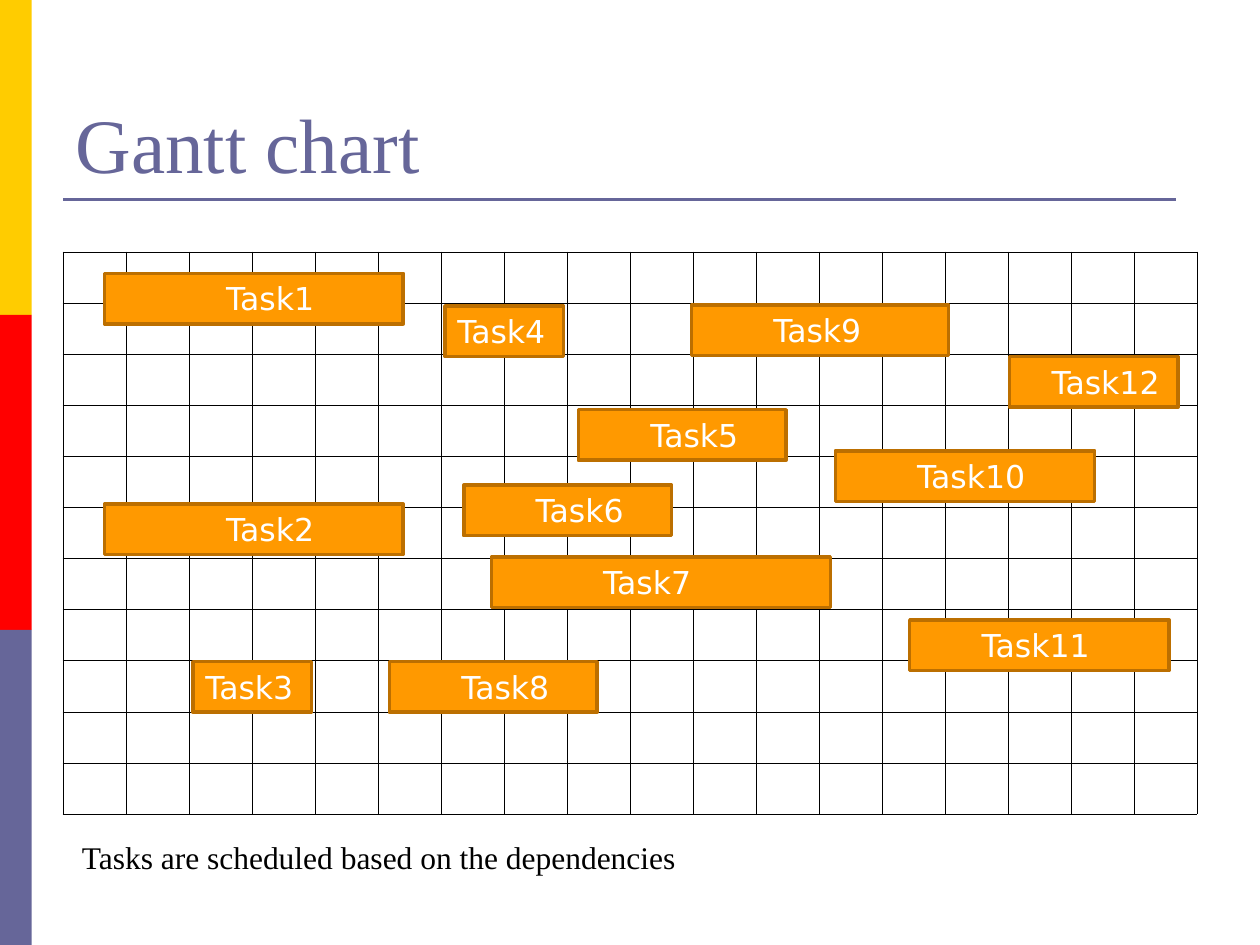
from dataclasses import dataclass

from lxml.etree import SubElement
from pptx import Presentation
from pptx.dml.color import RGBColor
from pptx.enum.shapes import MSO_CONNECTOR as Connector, MSO_SHAPE as Shape
from pptx.enum.text import MSO_ANCHOR as Anchor, PP_ALIGN as Align
from pptx.oxml.ns import qn
from pptx.util import Cm, Pt

COLOURS = {
    "yellow": "FFCC00",
    "red": "FF0000",
    "violet": "666699",
    "orange": "FF9900",
    "brown": "BC6F00",
    "white": "FFFFFF",
    "black": "000000",
}
SERIF = "Times New Roman"
SANS = "DejaVu Sans"
COLUMNS, ROWS = 18, 11
COLUMN_WIDTH, ROW_HEIGHT = 1.27, 1.03
BAND_WIDTH, BAND_HEIGHT = 0.64, 6.35
BAR_HEIGHT = 1.02
INSET, INDENT_STEP = 0.25, 0.2


@dataclass
class Task:
    name: str
    left: float
    top: float
    width: float
    indent: int = 0


TASKS = [
    Task("Task4", 8.97, 6.17, 2.39),
    Task("Task2", 2.11, 10.16, 6.02, 11),
    Task("Task1", 2.11, 5.51, 6.02, 11),
    Task("Task7", 9.91, 11.23, 6.83, 10),
    Task("Task3", 3.89, 13.34, 2.39),
    Task("Task5", 11.66, 8.26, 4.19, 6),
    Task("Task6", 9.35, 9.78, 4.19, 6),
    Task("Task8", 7.85, 13.34, 4.19, 6),
    Task("Task10", 16.84, 9.09, 5.23, 7),
    Task("Task9", 13.94, 6.15, 5.18, 7),
    Task("Task11", 18.34, 12.5, 5.23, 6),
    Task("Task12", 20.35, 7.19, 3.4, 3),
]


def colour(name: str) -> RGBColor:
    return RGBColor.from_string(COLOURS[name])


def write(frame, text: str, font: str, size: int, ink: str) -> None:
    frame.word_wrap = True
    paragraph = frame.paragraphs[0]
    paragraph.alignment = Align.LEFT
    run = paragraph.add_run()
    run.text = text
    run.font.name = font
    run.font.size = Pt(size)
    run.font.color.rgb = colour(ink)


def add_rectangle(slide, left: float, top: float, width: float, height: float, fill: str):
    shape = slide.shapes.add_shape(
        Shape.RECTANGLE, Cm(left), Cm(top), Cm(width), Cm(height)
    )
    shape.shadow.inherit = False
    shape.fill.solid()
    shape.fill.fore_color.rgb = colour(fill)
    shape.line.fill.background()
    return shape


def add_rule(slide) -> None:
    rule = slide.shapes.add_connector(
        Connector.STRAIGHT, Cm(1.27), Cm(4.02), Cm(23.7), Cm(4.02)
    )
    rule.line.color.rgb = colour("violet")
    rule.line.width = Pt(1.5)
    SubElement(rule._element.spPr, qn("a:effectLst"))


def add_borders(cell) -> None:
    properties = cell._tc.get_or_add_tcPr()
    for position, side in enumerate(("lnL", "lnR", "lnT", "lnB")):
        border = properties.makeelement(qn(f"a:{side}"), {"w": str(Pt(0.45))})
        properties.insert(position, border)
        fill = SubElement(border, qn("a:solidFill"))
        SubElement(fill, qn("a:srgbClr"), val=COLOURS["black"])


def add_grid(slide) -> None:
    table = slide.shapes.add_table(
        ROWS, COLUMNS, Cm(1.27), Cm(5.08),
        Cm(COLUMNS * COLUMN_WIDTH), Cm(ROWS * ROW_HEIGHT),
    ).table
    table.first_row = False
    table.horz_banding = False
    for column in table.columns:
        column.width = Cm(COLUMN_WIDTH)
    for row in table.rows:
        row.height = Cm(ROW_HEIGHT)
    for cell in table.iter_cells():
        cell.margin_top = cell.margin_bottom = 0
        cell.fill.background()
        add_borders(cell)


def add_task(slide, task: Task) -> None:
    bar = add_rectangle(slide, task.left, task.top, task.width, BAR_HEIGHT, "orange")
    bar.line.color.rgb = colour("brown")
    bar.line.width = Pt(2)
    frame = bar.text_frame
    frame.margin_left = Cm(INSET + task.indent * INDENT_STEP)
    frame.margin_right = 0
    frame.vertical_anchor = Anchor.TOP
    write(frame, task.name, SANS, 18, "white")


def main() -> None:
    presentation = Presentation()
    presentation.slide_width = Cm(25.4)
    presentation.slide_height = Cm(19.05)
    slide = presentation.slides.add_slide(presentation.slide_layouts[5])

    title = slide.shapes.title
    title.left, title.top = Cm(1.27), Cm(0.76)
    title.width, title.height = Cm(22.86), Cm(3.18)
    title.text_frame.vertical_anchor = Anchor.BOTTOM
    write(title.text_frame, "Gantt chart", SERIF, 44, "violet")

    for index, fill in enumerate(("yellow", "red", "violet")):
        add_rectangle(slide, 0, index * BAND_HEIGHT, BAND_WIDTH, BAND_HEIGHT, fill)
    add_rule(slide)
    add_grid(slide)
    for task in TASKS:
        add_task(slide, task)

    caption = slide.shapes.add_textbox(Cm(1.4), Cm(16.76), Cm(12.6), Cm(1.02))
    write(
        caption.text_frame, "Tasks are scheduled based on the dependencies",
        SERIF, 18, "black",
    )
    presentation.save("out.pptx")


if __name__ == "__main__":
    main()
